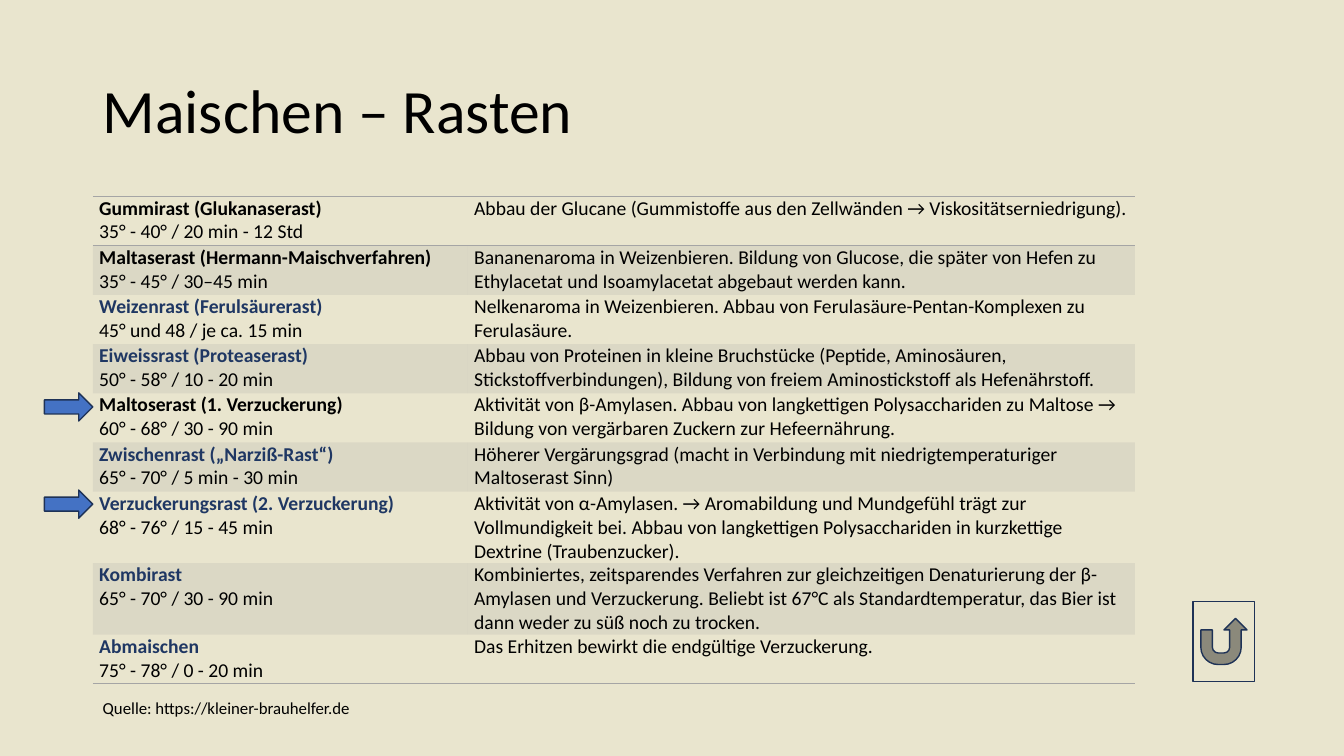
from lxml import etree
from pptx import Presentation
from pptx.dml.color import RGBColor
from pptx.enum.shapes import MSO_SHAPE
from pptx.enum.text import MSO_ANCHOR
from pptx.oxml.ns import qn
from pptx.util import Cm, Pt

ARROW = MSO_SHAPE.RIGHT_ARROW
RETURN_BUTTON = MSO_SHAPE.ACTION_BUTTON_RETURN
MIDDLE = MSO_ANCHOR.MIDDLE
TOP = MSO_ANCHOR.TOP

BACKGROUND, BLACK, NAVY, OUTLINE = "E9E5CE", "000000", "1F3763", "1E3256"
BLUE, GREY = "4472C4", "A5A5A5"
LEFT = 2.34
COLUMN_WIDTHS = (9.45, 16.81)
TWO_LINES, THREE_LINES = 1.24, 1.8
ARROW_TOPS = (9.9, 12.35)

RESTS = [
    ("Gummirast (Glukanaserast)", BLACK, "35° - 40° / 20 min - 12 Std", TWO_LINES,
     "Abbau der Glucane (Gummistoffe aus den Zellwänden → Viskositätserniedrigung)."),
    ("Maltaserast (Hermann-Maischverfahren)", BLACK, "35° - 45° / 30–45 min", TWO_LINES,
     "Bananenaroma in Weizenbieren. Bildung von Glucose, die später von Hefen zu "
     "Ethylacetat und Isoamylacetat abgebaut werden kann."),
    ("Weizenrast (Ferulsäurerast)", NAVY, "45° und 48 / je ca. 15 min", TWO_LINES,
     "Nelkenaroma in Weizenbieren. Abbau von Ferulasäure-Pentan-Komplexen zu Ferulasäure."),
    ("Eiweissrast (Proteaserast)", NAVY, "50° - 58° / 10 - 20 min", TWO_LINES,
     "Abbau von Proteinen in kleine Bruchstücke (Peptide, Aminosäuren, "
     "Stickstoffverbindungen), Bildung von freiem Aminostickstoff als Hefenährstoff."),
    ("Maltoserast (1. Verzuckerung)", BLACK, "60° - 68° / 30 - 90 min", TWO_LINES,
     "Aktivität von β-Amylasen. Abbau von langkettigen Polysacchariden zu Maltose → "
     "Bildung von vergärbaren Zuckern zur Hefeernährung."),
    ("Zwischenrast („Narziß-Rast“)", NAVY, "65° - 70° / 5 min - 30 min", TWO_LINES,
     "Höherer Vergärungsgrad (macht in Verbindung mit niedrigtemperaturiger "
     "Maltoserast Sinn)"),
    ("Verzuckerungsrast (2. Verzuckerung)", NAVY, "68° - 76° / 15 - 45 min", THREE_LINES,
     "Aktivität von α-Amylasen. → Aromabildung und Mundgefühl trägt zur Vollmundigkeit "
     "bei. Abbau von langkettigen Polysacchariden in kurzkettige Dextrine (Traubenzucker)."),
    ("Kombirast", NAVY, "65° - 70° / 30 - 90 min", THREE_LINES,
     "Kombiniertes, zeitsparendes Verfahren zur gleichzeitigen Denaturierung der "
     "β-Amylasen und Verzuckerung. Beliebt ist 67°C als Standardtemperatur, das Bier ist "
     "dann weder zu süß noch zu trocken."),
    ("Abmaischen", NAVY, "75° - 78° / 0 - 20 min", TWO_LINES,
     "Das Erhitzen bewirkt die endgültige Verzuckerung."),
]


def set_fill(fill, color):
    """Make a fill solid in a hex colour."""
    fill.solid()
    fill.fore_color.rgb = RGBColor.from_string(color)


def set_values(target, values):
    """Set attributes of an object from a dict."""
    for name, value in values.items():
        setattr(target, name, value)


def write_span(para, text, size, color=BLACK, bold=False):
    """Add a formatted span to a paragraph."""
    span = para.add_run()
    span.text = text
    set_values(span.font, {"name": "Calibri", "size": Pt(size), "bold": bold})
    set_fill(span.font.fill, color)


def add_text(page, bounds, text, size, frame_values, para_values):
    """Add a text box with one paragraph."""
    box = page.shapes.add_textbox(*map(Cm, bounds))
    set_values(box.text_frame, frame_values)
    para = box.text_frame.paragraphs[0]
    set_values(para, para_values)
    write_span(para, text, size)


def add_figure(page, kind, bounds, color):
    """Add a preset shape with a thin dark outline."""
    figure = page.shapes.add_shape(kind, *map(Cm, bounds))
    figure.shadow.inherit = False
    set_fill(figure.fill, color)
    set_fill(figure.line.fill, OUTLINE)
    figure.line.width = Pt(1)


def set_borders(cell, ruled_sides):
    """Rule the given sides of a cell and clear the others."""
    properties = cell._tc.get_or_add_tcPr()
    for position, side in enumerate("LRTB"):
        line = etree.Element(qn(f"a:ln{side}"), w=str(Pt(1)))
        if side in ruled_sides:
            solid = etree.SubElement(line, qn("a:solidFill"))
            etree.SubElement(solid, qn("a:srgbClr"), val=GREY)
        else:
            etree.SubElement(line, qn("a:noFill"))
        properties.insert(position, line)


def style_cell(cell, banded, ruled_sides):
    """Set the margins, fill and borders of a cell."""
    set_values(cell, {"margin_left": Cm(0.16), "margin_right": Cm(0.16),
                      "margin_top": 0, "margin_bottom": 0, "vertical_anchor": TOP})
    if banded:
        set_fill(cell.fill, GREY)
        tint = cell._tc.get_or_add_tcPr().find(f".//{qn('a:srgbClr')}")
        etree.SubElement(tint, qn("a:alpha"), val="20000")
    else:
        cell.fill.background()
    set_borders(cell, ruled_sides)


def add_rest_table(page):
    """Add the table of mashing rests."""
    height = sum(rest[3] for rest in RESTS)
    bounds = (LEFT, 4.95, sum(COLUMN_WIDTHS), height)
    table = page.shapes.add_table(len(RESTS), 2, *map(Cm, bounds)).table
    set_values(table, {"first_row": False, "horz_banding": False})
    for column, width in zip(table.columns, COLUMN_WIDTHS):
        column.width = Cm(width)
    ruled = {0: "TB", 1: "T", len(RESTS) - 1: "B"}
    for index, (name, color, timing, row_height, effect) in enumerate(RESTS):
        table.rows[index].height = Cm(row_height)
        rest_cell, effect_cell = table.cell(index, 0), table.cell(index, 1)
        write_span(rest_cell.text_frame.paragraphs[0], name, 14, color, True)
        write_span(rest_cell.text_frame.add_paragraph(), timing, 14)
        write_span(effect_cell.text_frame.paragraphs[0], effect, 14)
        for cell in (rest_cell, effect_cell):
            style_cell(cell, index % 2 == 1, ruled.get(index, ""))


def main():
    """Build the slide and save the deck."""
    deck = Presentation()
    set_values(deck, {"slide_width": Cm(33.87), "slide_height": Cm(19.05)})
    page = deck.slides.add_slide(deck.slide_layouts[6])
    set_fill(page.background.fill, BACKGROUND)
    add_text(page, (LEFT, 1.02, 29.21, 3.68), "Maischen – Rasten", 44,
             {"word_wrap": True, "vertical_anchor": MIDDLE}, {"line_spacing": 0.9})
    add_rest_table(page)
    add_text(page, (LEFT, 17.45, 6.81, 0.77), "Quelle: https://kleiner-brauhelfer.de", 12,
             {"word_wrap": False}, {})
    for top in ARROW_TOPS:
        add_figure(page, ARROW, (1.12, top, 1.22, 0.71), BLUE)
    add_figure(page, RETURN_BUTTON, (30.07, 15.16, 1.55, 2.01), BACKGROUND)
    deck.save("out.pptx")


if __name__ == "__main__":
    main()
